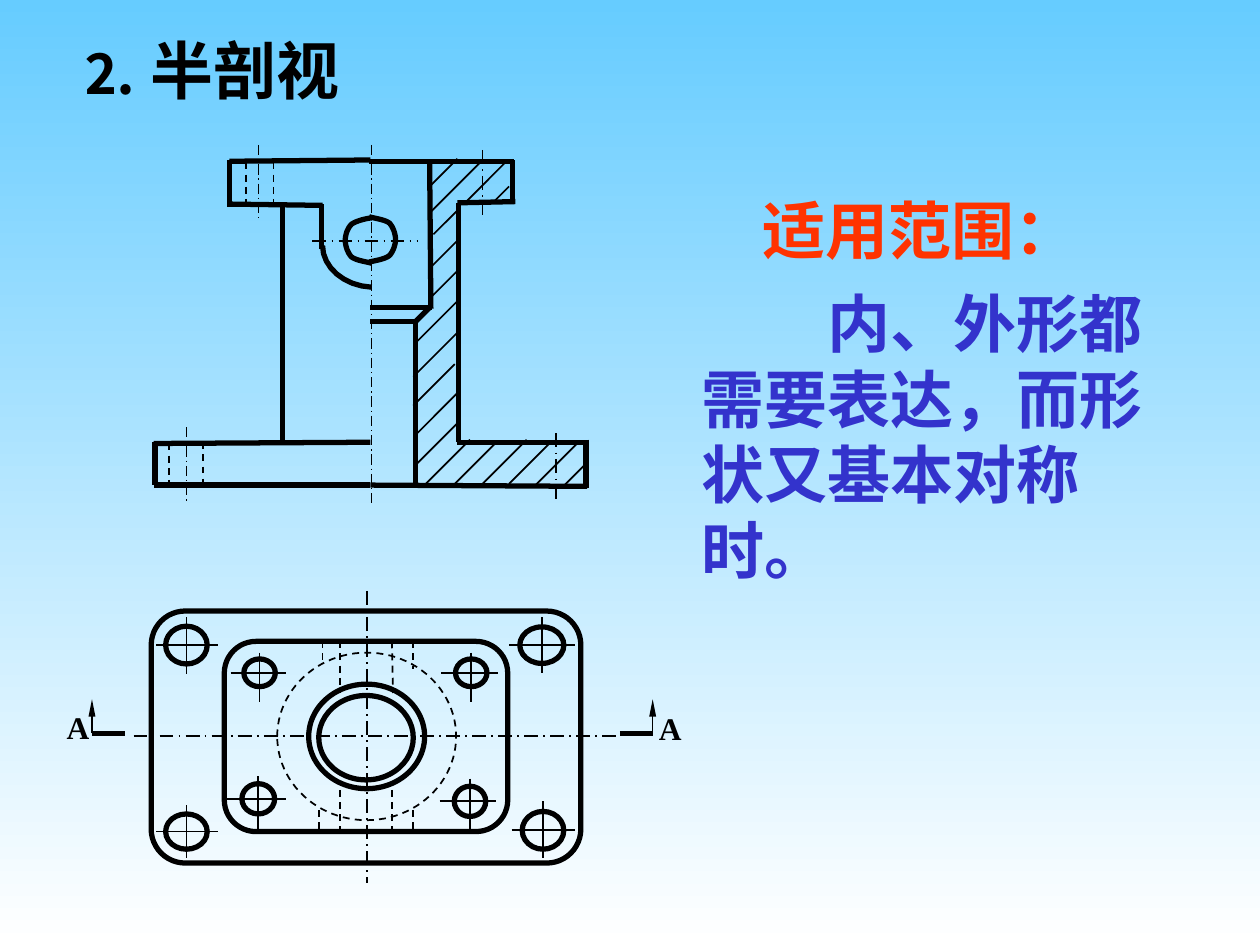
from lxml import etree
from pptx import Presentation
from pptx.dml.color import RGBColor
from pptx.enum.dml import MSO_LINE
from pptx.enum.shapes import MSO_CONNECTOR, MSO_SHAPE
from pptx.enum.text import MSO_ANCHOR, MSO_AUTO_SIZE
from pptx.oxml.ns import qn
from pptx.util import Inches, Pt

STRAIGHT = MSO_CONNECTOR.STRAIGHT
ELLIPSE = MSO_SHAPE.OVAL
ROUNDED = MSO_SHAPE.ROUNDED_RECTANGLE
DASH = MSO_LINE.DASH
CENTRE_DASH = MSO_LINE.LONG_DASH_DOT
MIDDLE = MSO_ANCHOR.MIDDLE
GROW = MSO_AUTO_SIZE.SHAPE_TO_FIT_TEXT
FONT = "Times New Roman"
BLACK = "000000"
THICK, THIN, FINE = 3, 1, 0.75

# Lines are x1, y1, x2, y2
ELEVATION_OUTLINE = [
    # Right half, in section
    (4.66, 3.86, 2.94, 3.85), (4.66, 3.51, 3.63, 3.51), (4.09, 1.6, 3.63, 1.61),
    (4.07, 1.62, 4.07, 1.27), (4.08, 1.28, 2.93, 1.28), (3.64, 3.51, 3.64, 1.61),
    (4.65, 3.49, 4.65, 3.87), (3.42, 2.45, 3.41, 1.29), (2.94, 2.44, 3.43, 2.44),
    (3.3, 3.85, 3.3, 2.55), (3.41, 2.44, 3.3, 2.55), (3.3, 2.55, 2.94, 2.55),
    # Left half, outside view
    (1.22, 3.85, 2.94, 3.85), (1.22, 3.52, 2.94, 3.51), (1.82, 1.62, 2.56, 1.63),
    (1.82, 1.64, 1.82, 1.27), (1.82, 1.28, 2.94, 1.27), (2.24, 3.52, 2.24, 1.62),
    (2.55, 1.98, 2.55, 1.62), (1.23, 3.51, 1.23, 3.85),
]
# Hatch lines rise at 45 degrees: x, y of the lower end, run
HATCHES = [
    (3.3, 2.72, 0.34), (3.28, 2.99, 0.35), (3.28, 3.22, 0.33), (3.3, 3.45, 0.33),
    (3.29, 3.7, 0.35), (3.36, 3.86, 0.37), (3.6, 3.85, 0.35), (3.81, 3.86, 0.37),
    (4.04, 3.84, 0.34), (4.25, 3.85, 0.35), (4.48, 3.85, 0.16), (3.42, 2.36, 0.21),
    (3.43, 2.11, 0.21), (3.44, 1.86, 0.21), (3.41, 1.69, 0.4), (3.41, 1.48, 0.22),
    (3.7, 1.6, 0.33), (3.91, 1.61, 0.13),
]
FINE_AXES = [(2.95, 1.15, 2.95, 3.99), (1.48, 3.39, 1.48, 3.99), (2.05, 1.15, 2.05, 1.75)]
THIN_AXES = [
    (3.83, 1.19, 3.83, 1.71), (4.41, 3.44, 4.41, 3.99), (2.48, 1.91, 3.31, 1.91),
    (1.06, 5.84, 4.89, 5.84), (2.91, 4.69, 2.91, 7.01),
]
HIDDEN_EDGES = [
    (1.34, 3.52, 1.34, 3.86), (1.61, 3.51, 1.61, 3.85),
    (1.95, 1.29, 1.95, 1.63), (2.17, 1.29, 2.17, 1.64),
    (3.28, 6.43, 3.28, 6.6), (2.53, 6.43, 2.53, 6.6),
    (2.7, 6.27, 2.7, 6.6), (3.11, 6.27, 3.11, 6.6),
    (3.28, 5.09, 3.28, 5.31), (3.11, 5.09, 3.12, 5.5),
    (2.7, 5.09, 2.7, 5.5), (2.56, 5.09, 2.56, 5.27),
]
# Each curve is a start point followed by Bezier triples
CURVES = [
    [(2.93, 1.72), (2.95, 1.73), (3.05, 1.74), (3.09, 1.77), (3.12, 1.8), (3.14, 1.86),
     (3.14, 1.9), (3.14, 1.94), (3.12, 2), (3.09, 2.03), (3.05, 2.06), (2.97, 2.07), (2.93, 2.08)],
    [(2.95, 1.73), (2.93, 1.73), (2.83, 1.75), (2.79, 1.78), (2.76, 1.81), (2.74, 1.86),
     (2.74, 1.91), (2.74, 1.95), (2.76, 2.01), (2.79, 2.04), (2.83, 2.07), (2.92, 2.08), (2.95, 2.09)],
    [(2.95, 2.28), (2.73, 2.27), (2.56, 2.12), (2.56, 1.95)],
]
# Bolt holes: centre x, y, width, height, then cross left, right, top, bottom
HOLES = [
    (1.48, 6.6, 0.33, 0.28, 1.24, 1.73, 6.39, 6.81),
    (1.48, 5.12, 0.33, 0.3, 1.24, 1.73, 4.9, 5.35),
    (4.31, 6.59, 0.33, 0.3, 4.06, 4.56, 6.36, 6.81),
    (4.3, 5.12, 0.35, 0.29, 4.04, 4.56, 4.9, 5.34),
    (2.05, 6.34, 0.26, 0.24, 1.8, 2.27, 6.16, 6.58),
    (2.06, 5.34, 0.25, 0.22, 1.83, 2.27, 5.18, 5.57),
    (3.73, 6.36, 0.25, 0.24, 3.49, 3.94, 6.18, 6.6),
    (3.74, 5.34, 0.25, 0.22, 3.5, 3.95, 5.18, 5.57),
]


def color(value):
    return RGBColor.from_string(value)


def set_line(shape, width, dash=None):
    shape.line.color.rgb = color(BLACK)
    shape.line.width = Pt(width)
    if dash is not None:
        shape.line.dash_style = dash


def add_line(page, ends, width, dash=None, arrow=False):
    line = page.shapes.add_connector(STRAIGHT, *map(Inches, ends))
    set_line(line, width, dash)
    if arrow:
        etree.SubElement(line.line._get_or_add_ln(), qn("a:tailEnd"),
                         type="triangle", w="sm", len="lg")
    etree.SubElement(line._element.spPr, qn("a:effectLst"))


def add_outline(page, kind, place, width, dash=None, corner=None):
    shape = page.shapes.add_shape(kind, *map(Inches, place))
    shape.shadow.inherit = False
    shape.fill.background()
    set_line(shape, width, dash)
    if corner is not None:
        shape.adjustments[0] = corner


def add_curve(page, points, steps=8):
    points = [(Inches(x), Inches(y)) for x, y in points]
    samples = []
    for first in range(0, len(points) - 1, 3):
        a, b, c, d = points[first:first + 4]
        for step in range(1, steps + 1):
            t = step / steps
            u = 1 - t
            samples.append(tuple(
                u**3 * a[i] + 3 * u * u * t * b[i] + 3 * u * t * t * c[i] + t**3 * d[i]
                for i in (0, 1)))
    builder = page.shapes.build_freeform(*points[0])
    builder.add_line_segments(samples, close=False)
    curve = builder.convert_to_shape()
    curve.shadow.inherit = False
    curve.fill.background()
    set_line(curve, THICK)


def add_text(page, place, parts, fill, wrap=False, indent=0):
    box = page.shapes.add_textbox(*map(Inches, place))
    frame = box.text_frame
    frame.word_wrap = wrap
    frame.auto_size = GROW
    frame.vertical_anchor = MIDDLE
    para = frame.paragraphs[0]
    properties = para._p.get_or_add_pPr()
    properties.set("indent", str(Inches(indent)))
    properties.set("hangingPunct", "0")
    for text, size in parts:
        span = para.add_run()
        span.text = text
        span.font.name = FONT
        span.font.size = Pt(size)
        span.font.bold = True
        span.font.color.rgb = color(fill)


def set_background(page):
    fill = page.background.fill
    fill.gradient()
    fill.gradient_angle = 270
    for stop, value, position in zip(fill.gradient_stops, ("66CCFF", "FFFFFF"), (0, 1)):
        stop.color.rgb = color(value)
        stop.position = position


def add_hole(page, x, y, width, height, left, right, top, bottom):
    add_line(page, (x, top, x, bottom), THIN)
    add_line(page, (left, y, right, y), THIN)
    add_outline(page, ELLIPSE, (x - width / 2, y - height / 2, width, height), THICK)


def add_section_mark(page, arrow_x, bar_x, label_place):
    add_text(page, label_place, [("A", 18)], BLACK)
    add_line(page, (bar_x, 5.82, bar_x + 0.26, 5.82), THICK)
    add_line(page, (arrow_x, 5.82, arrow_x, 5.55), FINE, arrow=True)


def main():
    deck = Presentation()
    deck.slide_width, deck.slide_height = Inches(10), Inches(7.5)
    page = deck.slides.add_slide(deck.slide_layouts[6])
    set_background(page)

    # Explanation
    add_text(page, (5.95, 1.47, 2.7, 0.7), [("适用范围：", 36)], "FF3300")
    add_text(page, (5.47, 2.51, 3.85, 1.9), [("内、外形都需要表达，而形状又基本对称时。", 36)],
             "3333CC", wrap=True, indent=1)

    # Straight lines of both views
    for lines, width, dash in (
        (ELEVATION_OUTLINE, THICK, None),
        ([(x, y, x + run, y - run) for x, y, run in HATCHES], THIN, None),
        (FINE_AXES, FINE, CENTRE_DASH),
        (THIN_AXES, THIN, CENTRE_DASH),
        (HIDDEN_EDGES, THIN, DASH),
    ):
        for ends in lines:
            add_line(page, ends, width, dash)
    for points in CURVES:
        add_curve(page, points)

    # Plan view
    add_outline(page, ROUNDED, (1.2, 4.85, 3.41, 2), THICK, corner=0.135)
    add_outline(page, ROUNDED, (1.78, 5.09, 2.25, 1.51), THICK, corner=0.167)
    add_outline(page, ELLIPSE, (2.2, 5.18, 1.42, 1.33), THIN, DASH)
    add_outline(page, ELLIPSE, (2.45, 5.43, 0.92, 0.83), THICK)
    add_outline(page, ELLIPSE, (2.53, 5.52, 0.75, 0.67), THICK)
    for hole in HOLES:
        add_hole(page, *hole)
    add_section_mark(page, 0.73, 0.73, (0.43, 5.57, 0.38, 0.4))
    add_section_mark(page, 5.18, 4.92, (5.13, 5.58, 0.38, 0.4))

    # Heading
    add_text(page, (0.55, 0.2, 2.26, 0.7), [("⒉ ", 32), ("半剖视", 36)], BLACK)
    deck.save("out.pptx")


if __name__ == "__main__":
    main()
